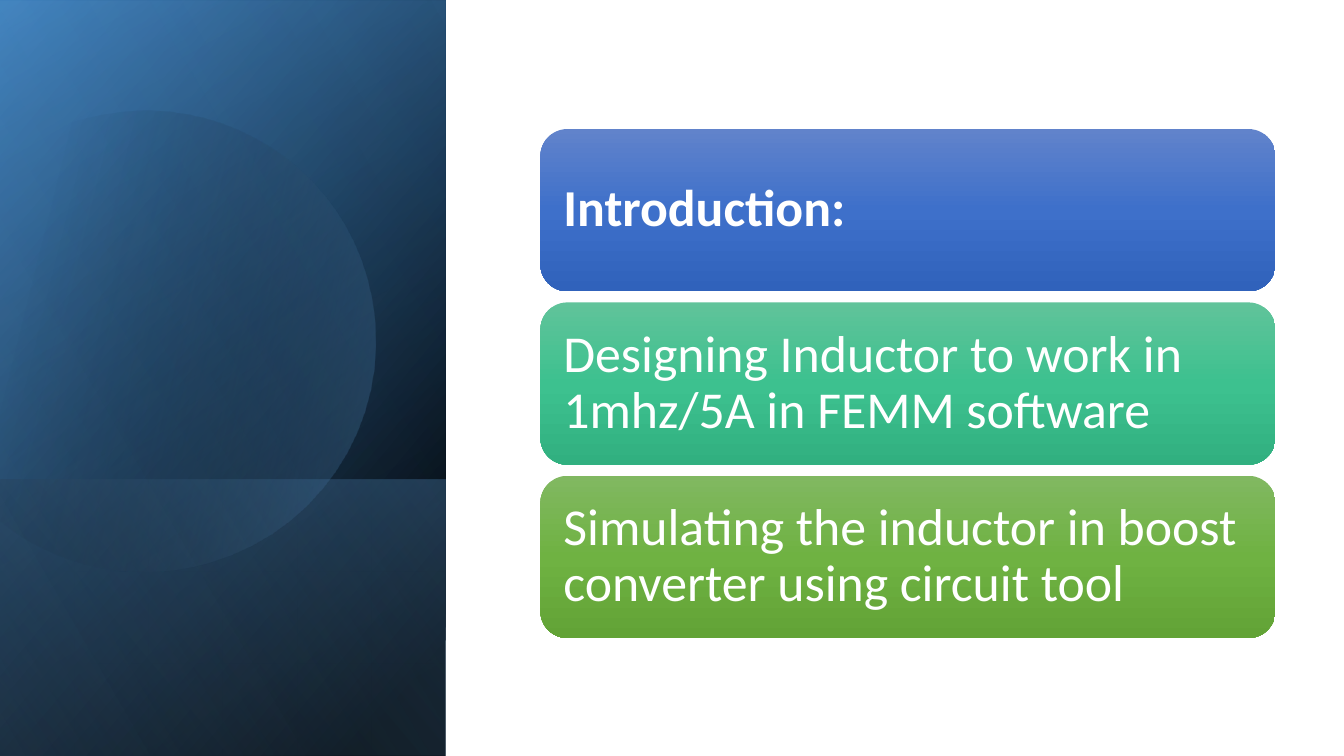
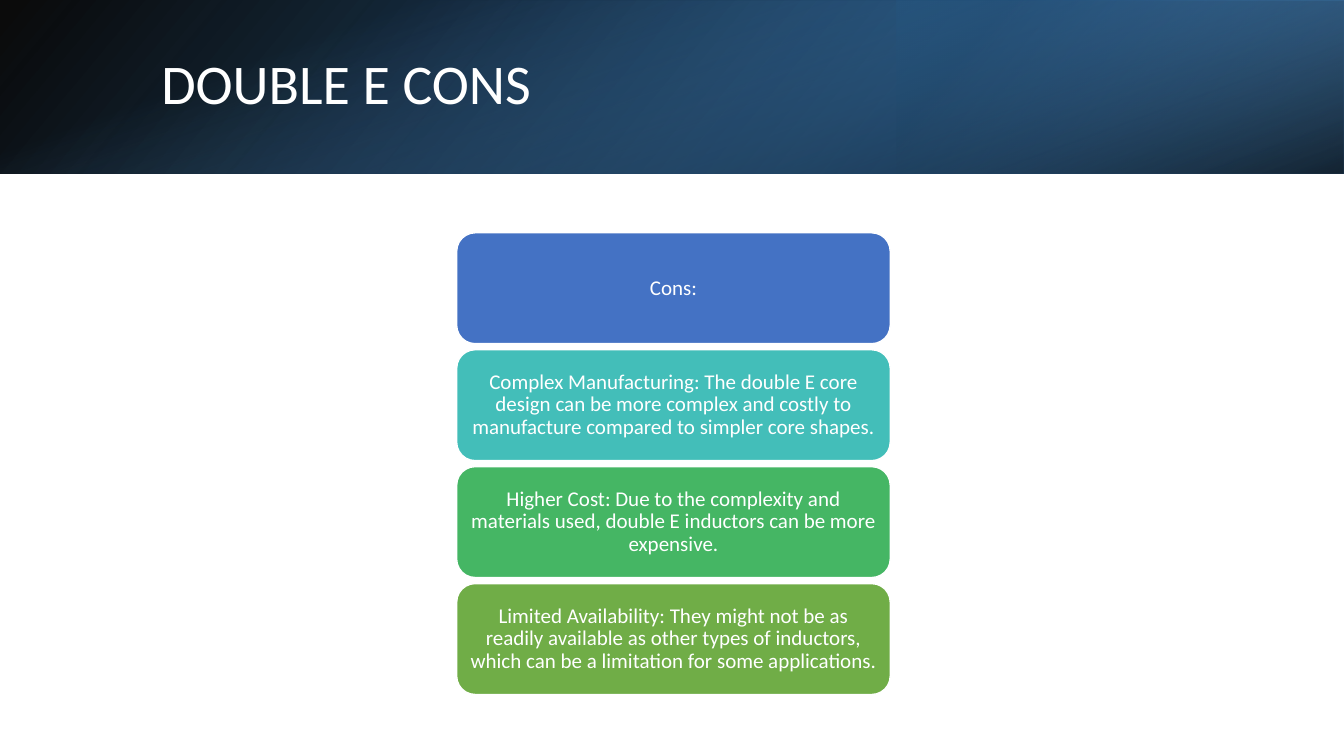
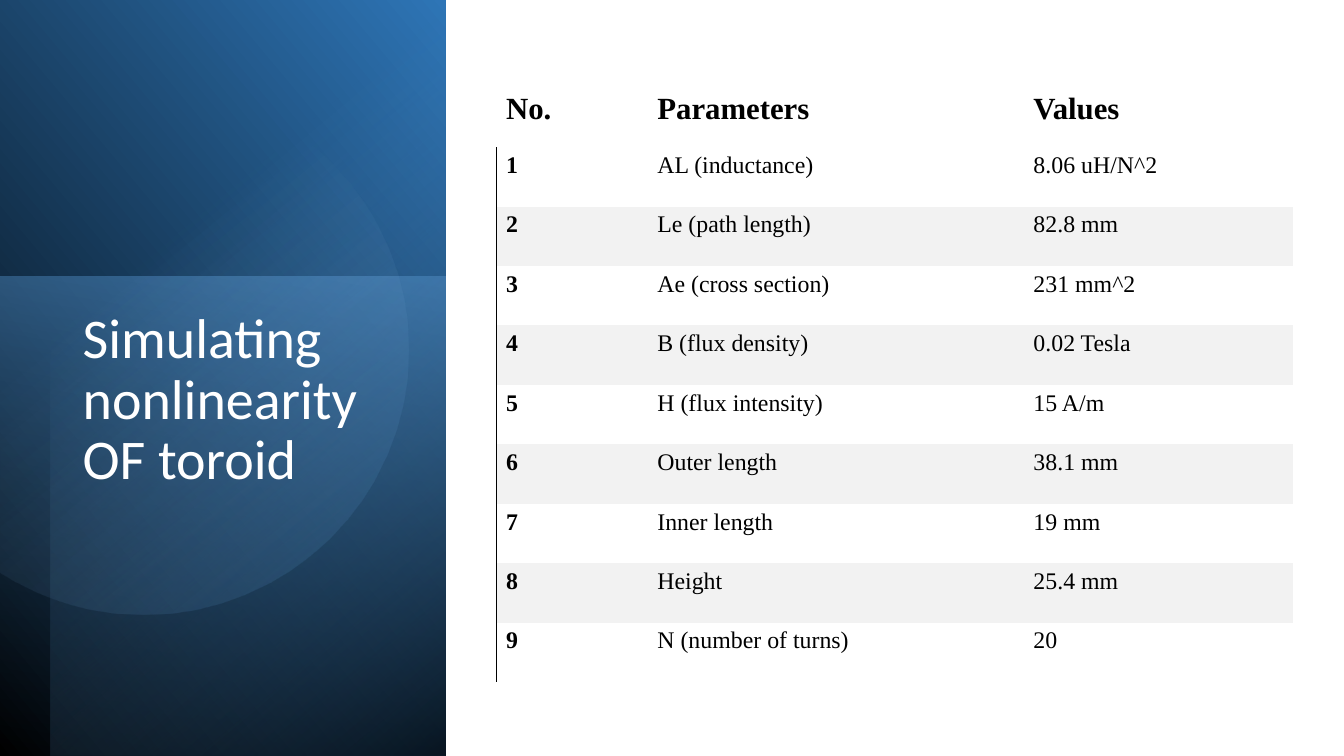
from math import cos, radians, sin

from lxml import etree
from pptx import Presentation
from pptx import util as u
from pptx.dml.color import RGBColor
from pptx.enum import shapes, text
from pptx.oxml.ns import qn

Inches = u.Inches
BODY, TABLE_FONT = "Calibri", "Times New Roman"
WHITE, BLACK, BAND = "FFFFFF", "000000", "F2F2F2"
BLUE, SKY, PALE, NAVY = "2E75B6", "5B9BD5", "9DC3E6", "1F4E79"
NO_STYLE = "{2D5ABB26-0587-4C30-8999-92F81FD0307C}"

INTRO_PANEL = [
    dict(at=(-1.54, 1.54, 7.5, 4.42), rot=90, flip=True, angle=50,
         stops=[(8, BLACK, 100), (100, BLUE, 100)]),
    dict(at=(-1.54, 1.55, 7.5, 4.42), rot=90, flip=True, angle=30,
         stops=[(0, BLACK, 0), (99, SKY, 46)]),
    dict(at=(0.84, 3.92, 2.74, 4.42), rot=90, flip=True, angle=130,
         stops=[(2, SKY, 29), (100, BLACK, 30)]),
    dict(at=(-0.55, 1.06, 4.27, 4.57), rot=343.9, angle=30,
         stops=[(29, BLACK, 0), (100, SKY, 43)],
         outline=[(1.49, 1.1), (2.46, 1.12, 3.35, 1.77, 3.63, 2.75),
                  (3.98, 3.97, 3.28, 5.23, 2.07, 5.58),
                  (1.31, 5.8, 0.53, 5.61, -0.03, 5.14),
                  (-0.15, 5.03), (-0.15, 1.75), (0, 1.61),
                  (0.23, 1.42, 0.5, 1.28, 0.8, 1.19),
                  (1.03, 1.13, 1.26, 1.1, 1.49, 1.1)]),
    dict(at=(-1.54, 1.54, 7.5, 4.42), rot=90, flip=True, angle=120,
         stops=[(0, BLACK, 0), (99, PALE, 11)]),
]
CONS_BAND = [
    dict(at=(0, 0, 13.33, 1.72), flip=True, angle=140,
         stops=[(0, BLACK, 96), (100, BLUE, 100)]),
    dict(at=(8.89, 0, 4.44, 1.72), rot=180, flip=True, angle=320,
         stops=[(19, NAVY, 68), (100, SKY, 79)]),
    dict(at=(5.8, -5.8, 1.72, 13.33), rot=90, angle=340,
         stops=[(23, SKY, 0), (99, BLACK, 74)]),
]
TOROID_PANEL = [
    dict(at=(-1.55, 1.55, 7.52, 4.42), rot=90, flip=True, angle=310,
         stops=[(0, BLACK, 100), (100, BLUE, 100)]),
    dict(at=(-0.17, 2.91, 4.76, 4.42), rot=270, angle=190,
         stops=[(0, SKY, 50), (100, NAVY, 0)]),
    dict(at=(-1.29, 1.79, 7.5, 3.92), rot=270, flip=True, angle=220,
         stops=[(0, BLACK, 59), (69, SKY, 0)]),
    dict(at=(-0.82, 1.31, 5.26, 4.47), rot=101.6, angle=310,
         stops=[(39, PALE, 0), (100, BLUE, 26)],
         outline=[(1.43, 0.84), (1.6, 0.84, 1.78, 0.86, 1.96, 0.89),
                  (3.38, 1.19, 4.29, 2.58, 4, 4),
                  (3.71, 5.42, 2.32, 6.34, 0.9, 6.05),
                  (0.63, 5.99, 0.38, 5.9, 0.15, 5.77),
                  (0, 5.68), (0, 1.26), (0.2, 1.15),
                  (0.57, 0.95, 0.99, 0.84, 1.43, 0.84)]),
]

INTRO_CARDS = [
    ("Introduction:", ("6183CB", "3E70CA", "3062BB")),
    ("Designing Inductor to work in 1mhz/5A in FEMM software",
     ("60C39A", "3DC18F", "31B080")),
    ("Simulating the inductor in boost converter using circuit tool",
     ("81B861", "6FB242", "62A336")),
]
CONS_CARDS = [
    ("Cons:", "4472C4"),
    ("Complex Manufacturing: The double E core design can be more complex and "
     "costly to manufacture compared to simpler core shapes.", "43BEB9"),
    ("Higher Cost: Due to the complexity and materials used, double E inductors "
     "can be more expensive.", "45B664"),
    ("Limited Availability: They might not be as readily available as other types "
     "of inductors, which can be a limitation for some applications.", "70AD47"),
]
PARAMETERS = [
    ("AL (inductance)", "8.06 uH/N^2"),
    ("Le (path length)", "82.8 mm"),
    ("Ae (cross section)", "231 mm^2"),
    ("B (flux density)", "0.02 Tesla"),
    ("H (flux intensity)", "15 A/m"),
    ("Outer length", "38.1 mm"),
    ("Inner length", "19 mm"),
    ("Height", "25.4 mm"),
    ("N (number of turns)", "20"),
]


def rgb(value):
    return RGBColor.from_string(value)


def box(at):
    return [Inches(v) for v in at]


def set_all(obj, values):
    for name, value in values.items():
        setattr(obj, name, value)


def write(tf, content, frame, para, font, color):
    set_all(tf, frame)
    tf.text = content
    p = tf.paragraphs[0]
    set_all(p, para)
    f = p.runs[0].font
    set_all(f, font)
    f.color.rgb = rgb(color)


def margins(left, top, right, bottom):
    names = ("margin_left", "margin_top", "margin_right", "margin_bottom")
    return dict(zip(names, box((left, top, right, bottom))))


def gradient(sp, stops, angle):
    sp.fill.background()
    pr = sp._element.spPr
    grad = etree.Element(qn("a:gradFill"), rotWithShape="1")
    gs_list = etree.SubElement(grad, qn("a:gsLst"))
    for pos, color, opacity in stops:
        gs = etree.SubElement(gs_list, qn("a:gs"), pos=str(pos * 1000))
        clr = etree.SubElement(gs, qn("a:srgbClr"), val=color)
        if opacity < 100:
            etree.SubElement(clr, qn("a:alpha"), val=str(opacity * 1000))
    etree.SubElement(grad, qn("a:lin"), ang=str(angle * 60000), scaled="0")
    pr.replace(pr.find(qn("a:noFill")), grad)


def flatten(outline, steps=16):
    points = [outline[0]]
    for part in outline[1:]:
        if len(part) == 2:
            points.append(part)
            continue
        ctrl = [points[-1], part[:2], part[2:4], part[4:]]
        for i in range(1, steps + 1):
            t = i / steps
            weights = ((1 - t) ** 3, 3 * t * (1 - t) ** 2, 3 * t * t * (1 - t), t ** 3)
            points.append(tuple(sum(w * c[k] for w, c in zip(weights, ctrl))
                                for k in (0, 1)))
    return points


def add_circle(s, at, rot, outline):
    left, top, width, height = at
    cx, cy = left + width / 2, top + height / 2
    c, n = cos(radians(rot)), sin(radians(rot))
    points = [(Inches(cx + (x - cx) * c + (y - cy) * n),
               Inches(cy - (x - cx) * n + (y - cy) * c))
              for x, y in flatten(outline)]
    fb = s.shapes.build_freeform(*points[0], scale=1.0)
    fb.add_line_segments(points[1:], close=True)
    sp = fb.convert_to_shape()
    set_all(sp, dict(zip(("left", "top", "width", "height"), box(at))))
    return sp


def add_panel(s, layers):
    for layer in layers:
        rot = layer.get("rot", 0)
        if "outline" in layer:
            sp = add_circle(s, layer["at"], rot, layer["outline"])
        else:
            sp = s.shapes.add_shape(shapes.MSO_SHAPE.RECTANGLE, *box(layer["at"]))
        sp.shadow.inherit = False
        sp.rotation = rot
        if layer.get("flip"):
            sp._element.spPr.find(qn("a:xfrm")).set("flipH", "1")
        gradient(sp, layer["stops"], layer["angle"])
        sp.line.fill.background()


def add_title(s, content, at, anchor):
    title = s.shapes.title
    s.shapes._spTree.append(title._element)
    set_all(title, dict(zip(("left", "top", "width", "height"), box(at))))
    write(title.text_frame, content,
          dict(word_wrap=True, auto_size=text.MSO_AUTO_SIZE.NONE, vertical_anchor=anchor),
          dict(alignment=text.PP_ALIGN.LEFT, line_spacing=0.9),
          dict(name=BODY, size=u.Pt(40)), WHITE)


def add_cards(s, cards, at, pitch, inset, size, align, bold_first=False):
    left, top, width, height = at
    for i, (content, fill) in enumerate(cards):
        sp = s.shapes.add_shape(shapes.MSO_SHAPE.ROUNDED_RECTANGLE,
                                *box((left, top + i * pitch, width, height)))
        sp.shadow.inherit = False
        if isinstance(fill, tuple):
            gradient(sp, [(p, c, 100) for p, c in zip((0, 50, 100), fill)], 90)
            sp.line.fill.background()
        else:
            sp.fill.solid()
            sp.fill.fore_color.rgb = rgb(fill)
            sp.line.color.rgb = rgb(WHITE)
            sp.line.width = u.Pt(1)
        write(sp.text_frame, content,
              dict(margins(*inset), word_wrap=True, vertical_anchor=text.MSO_ANCHOR.MIDDLE),
              dict(alignment=align, line_spacing=0.9),
              dict(name=BODY, size=u.Pt(size), bold=bold_first and i == 0), WHITE)


def left_border(cell):
    ln = etree.Element(qn("a:lnL"), w=str(u.Pt(0.75)))
    fill = etree.SubElement(ln, qn("a:solidFill"))
    etree.SubElement(fill, qn("a:srgbClr"), val=BLACK)
    cell._tc.get_or_add_tcPr().insert(0, ln)


def add_parameters(s):
    rows = [("No.", "Parameters", "Values")]
    rows += [(str(i), *row) for i, row in enumerate(PARAMETERS, 1)]
    frame = s.shapes.add_table(len(rows), 3, *box((4.92, 0.78, 7.9, 5.95)))
    table = frame.table
    set_all(table, dict(first_row=False, horz_banding=False))
    table._tbl.tblPr.find(qn("a:tableStyleId")).text = NO_STYLE
    for col, width in zip(table.columns, (1.5, 3.73, 2.67)):
        col.width = Inches(width)
    for r, row in enumerate(rows):
        head = r == 0
        table.rows[r].height = Inches(0.68 if head else 0.59)
        for c, content in enumerate(row):
            cell = table.cell(r, c)
            anchor = text.MSO_ANCHOR.BOTTOM if head else text.MSO_ANCHOR.TOP
            set_all(cell, dict(margins(0.1, 0.03, 0.19, 0.21), vertical_anchor=anchor))
            write(cell.text_frame, content, {}, dict(line_spacing=1.07),
                  dict(name=TABLE_FONT, size=u.Pt(22 if head else 17),
                       bold=head or c == 0), BLACK)
            if r and r % 2 == 0:
                cell.fill.solid()
                cell.fill.fore_color.rgb = rgb(BAND)
            else:
                cell.fill.background()
            if c == 0 and not head:
                left_border(cell)


def main():
    prs = Presentation()
    prs.slide_width, prs.slide_height = Inches(13.33), Inches(7.5)
    title_only, blank = prs.slide_layouts[5], prs.slide_layouts[6]

    s = prs.slides.add_slide(blank)
    add_panel(s, INTRO_PANEL)
    add_cards(s, INTRO_CARDS, (5.36, 1.28, 7.29, 1.61), 1.72, (0.15,) * 4, 37,
              text.PP_ALIGN.LEFT, bold_first=True)

    s = prs.slides.add_slide(title_only)
    add_panel(s, CONS_BAND)
    add_title(s, "DOUBLE E CONS", (1.5, 0.38, 10.98, 0.96), text.MSO_ANCHOR.MIDDLE)
    add_cards(s, CONS_CARDS, (4.53, 2.31, 4.3, 1.1), 1.16, (0.06, 0.03, 0.06, 0.03), 15,
              text.PP_ALIGN.CENTER)

    s = prs.slides.add_slide(title_only)
    add_panel(s, TOROID_PANEL)
    add_title(s, "Simulating nonlinearity OF toroid", (0.72, 3.03, 3.15, 3.36),
              text.MSO_ANCHOR.TOP)
    add_parameters(s)

    prs.save("out.pptx")


if __name__ == "__main__":
    main()
